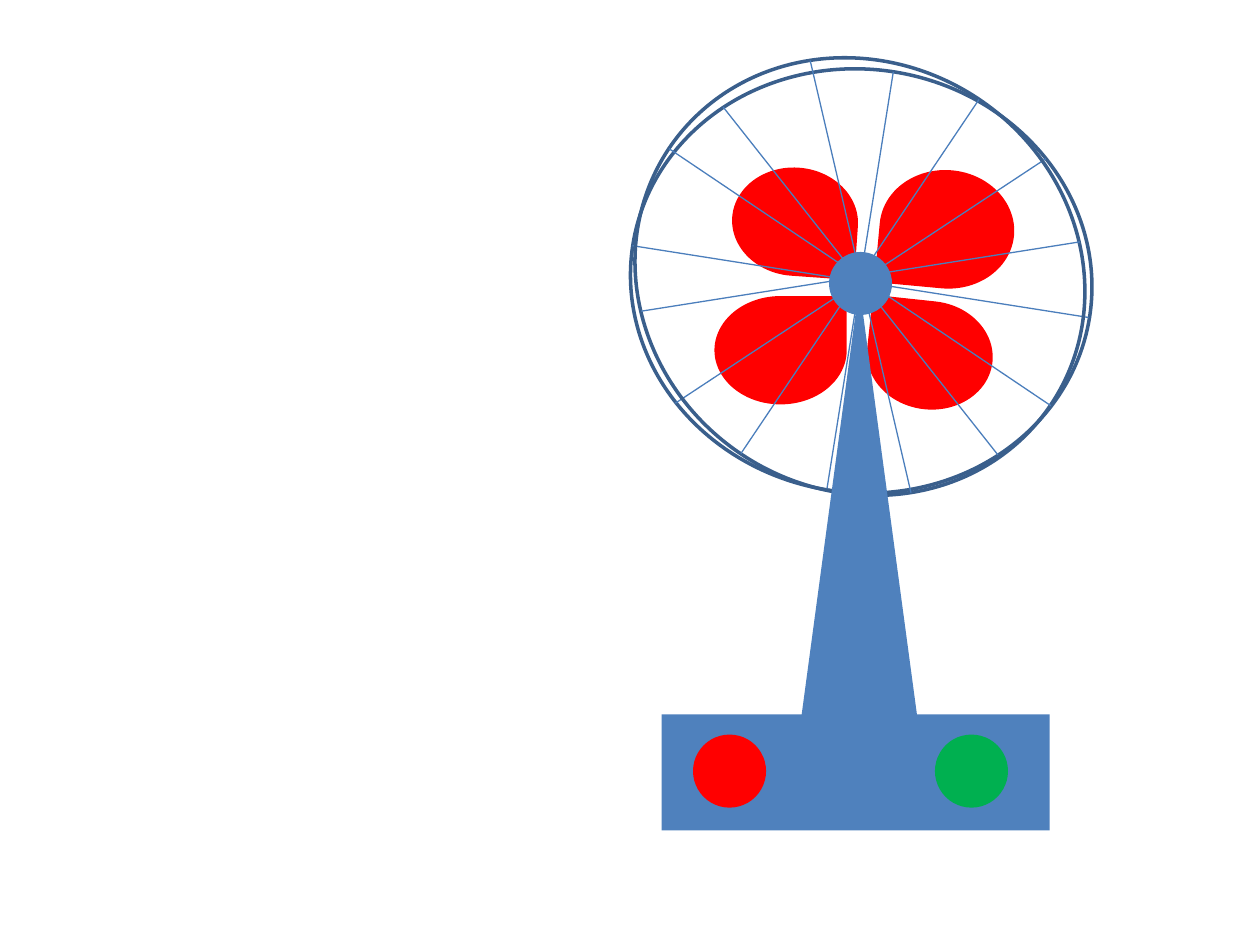
from dataclasses import dataclass

from lxml import etree
from pptx import Presentation
from pptx import util as u
from pptx.dml.color import RGBColor
from pptx.enum import shapes
from pptx.oxml.ns import qn


@dataclass(frozen=True)
class Theme:
    body: str = "4F81BD"
    red: str = "FF0000"
    green: str = "00B050"
    rim: str = "3A5F8C"
    spoke: str = "4B7EBC"
    rim_width: float = 2
    spoke_width: float = 0.75


theme = Theme()
kinds = shapes.MSO_SHAPE


def add_part(container, kind, box, fill=None, rotation=0):
    """Add a filled part, or an outlined rim when no fill is given."""
    shape = container.add_shape(kind, *map(u.Inches, box))
    shape.rotation = rotation
    shape.shadow.inherit = False
    if fill:
        shape.fill.solid()
        shape.fill.fore_color.rgb = RGBColor.from_string(fill)
        shape.line.fill.background()
    else:
        shape.fill.background()
        shape.line.color.rgb = RGBColor.from_string(theme.rim)
        shape.line.width = u.Pt(theme.rim_width)


def add_spoke(container, ends):
    spoke = container.add_connector(shapes.MSO_CONNECTOR.STRAIGHT, *map(u.Inches, ends))
    spoke.line.color.rgb = RGBColor.from_string(theme.spoke)
    spoke.line.width = u.Pt(theme.spoke_width)
    etree.SubElement(spoke.element.spPr, qn("a:effectLst"))


presentation = Presentation()
presentation.slide_width = u.Inches(10)
presentation.slide_height = u.Inches(7.5)
slide = presentation.slides.add_slide(presentation.slide_layouts[6])

# Blades
blades = slide.shapes.add_group_shape()
for box, rotation in [
    ((5.67, 2.35, 1.05, 0.86), 0),
    ((6.98, 1.35, 1.07, 0.94), 185.3),
    ((6.95, 2.32, 0.86, 1), 276.1),
    ((5.88, 1.26, 0.86, 1), 94),
]:
    add_part(blades.shapes, kinds.TEAR, box, theme.red, rotation)

# Guard: two tilted rims, each with four spokes
guard = slide.shapes.add_group_shape()
for rim, tilt, spokes in [
    ((5, 0.55, 3.67, 3.36), 9.1, [
        (7.09, 0.57, 6.56, 3.9),
        (5.02, 1.95, 8.64, 2.52),
        (5.74, 0.85, 7.92, 3.61),
        (5.36, 3.2, 8.3, 1.26),
    ]),
    ((5, 0.5, 3.65, 3.39), 34, [
        (7.77, 0.79, 5.88, 3.6),
        (5.31, 1.18, 8.34, 3.22),
        (6.43, 0.48, 7.23, 3.91),
        (5.09, 2.47, 8.57, 1.92),
    ]),
]:
    add_part(guard.shapes, kinds.OVAL, rim, rotation=tilt)
    for ends in spokes:
        add_spoke(guard.shapes, ends)

# Hub, stand, base and the two buttons
for kind, box, fill in [
    (kinds.OVAL, (6.58, 2, 0.5, 0.5), theme.body),
    (kinds.ISOSCELES_TRIANGLE, (6.36, 2.27, 0.92, 3.42), theme.body),
    (kinds.RECTANGLE, (5.25, 5.67, 3.08, 0.92), theme.body),
    (kinds.OVAL, (5.5, 5.83, 0.58, 0.58), theme.red),
    (kinds.OVAL, (7.42, 5.83, 0.58, 0.58), theme.green),
]:
    add_part(slide.shapes, kind, box, fill)

presentation.save("out.pptx")
